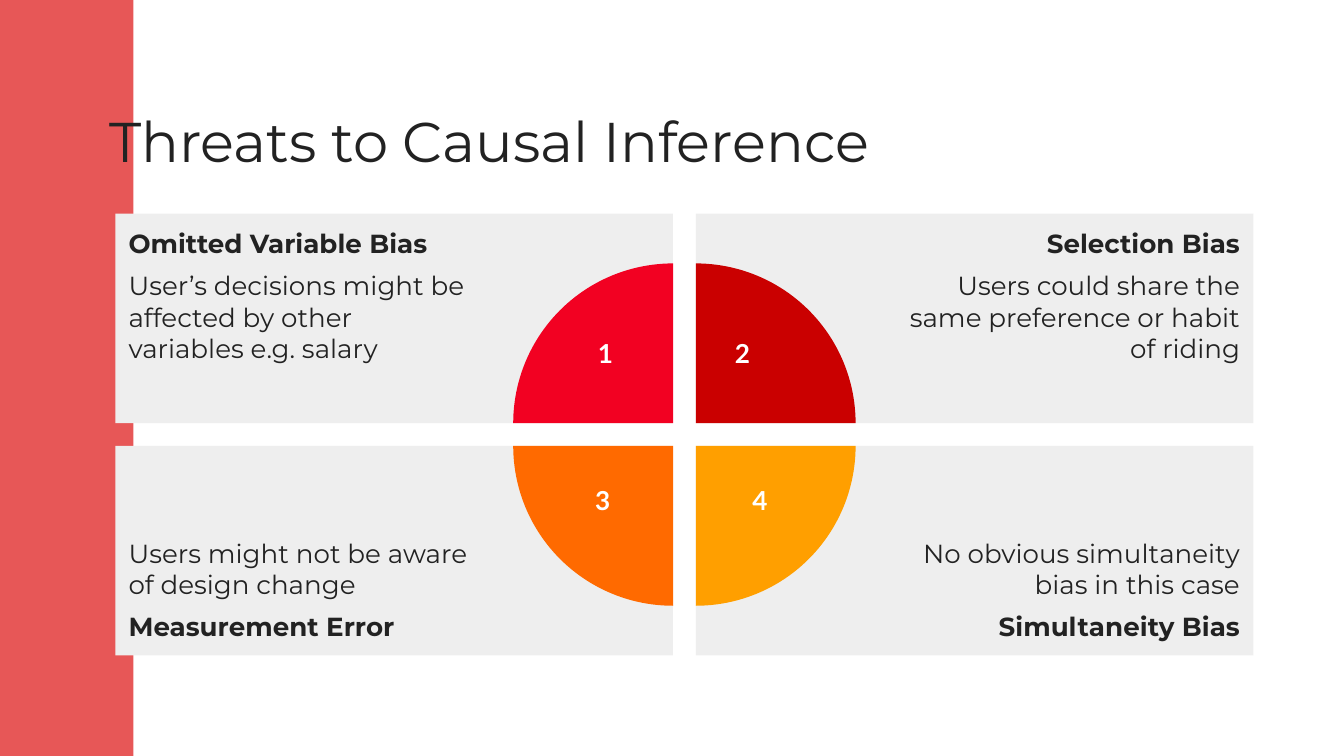
from dataclasses import dataclass

from pptx import Presentation
from pptx.dml.color import RGBColor
from pptx.enum.shapes import MSO_SHAPE
from pptx.enum.text import MSO_ANCHOR, MSO_AUTO_SIZE, PP_ALIGN
from pptx.util import Cm, Pt


@dataclass(frozen=True)
class Theme:
    accent: str = "E75757"
    paper: str = "FFFFFF"
    panel: str = "EEEEEE"
    ink: str = "222222"
    font: str = "Montserrat"
    number_font: str = "Lato"
    title_size: int = 30
    text_size: int = 14


@dataclass(frozen=True)
class Threat:
    """One quadrant; number_x and number_y are the centre of its number in cm."""
    number: str
    heading: str
    body: str
    column: int
    row: int
    rotation: int
    color: str
    number_x: float
    number_y: float


THEME = Theme()
THREATS = (
    Threat("1", "Omitted Variable Bias",
           "User’s decisions might be affected by other variables e.g. salary",
           0, 0, 0, "F20122", 11.43, 6.81),
    Threat("2", "Selection Bias",
           "Users could share the same preference or habit of riding",
           1, 0, 90, "CA0000", 14.02, 6.82),
    Threat("3", "Measurement Error",
           "Users might not be aware of design change",
           0, 1, 270, "FF6A00", 11.38, 9.59),
    Threat("4", "Simultaneity Bias",
           "No obvious simultaneity bias in this case",
           1, 1, 180, "FF9F00", 14.35, 9.6),
)

# Grid lengths in cm
GRID_LEFT, GRID_TOP = 2.18, 4.04
PANEL_WIDTH, PANEL_HEIGHT = 10.54, 3.96
GAP = 0.43
RADIUS = 3.02
INSET, WIDE_INSET = 0.25, 3.81
NUMBER_WIDTH, NUMBER_HEIGHT = 0.76, 1.13


def write(paragraph, text: str, *, size: int = THEME.text_size,
          font: str = THEME.font, color: str = THEME.ink, bold: bool = False,
          align: PP_ALIGN = PP_ALIGN.LEFT, spacing: int = 0) -> None:
    """Put formatted text into a paragraph."""
    paragraph.alignment = align
    paragraph.space_before = paragraph.space_after = Pt(spacing)
    run = paragraph.add_run()
    run.text = text
    run.font.name = font
    run.font.size = Pt(size)
    run.font.bold = bold
    run.font.color.rgb = RGBColor.from_string(color)


def set_insets(frame, left: float, top: float, right: float, bottom: float) -> None:
    frame.margin_left, frame.margin_top = Cm(left), Cm(top)
    frame.margin_right, frame.margin_bottom = Cm(right), Cm(bottom)


def add_filled(slide, kind: MSO_SHAPE, left: float, top: float,
               width: float, height: float, color: str):
    """Add a flat shape without outline or shadow."""
    shape = slide.shapes.add_shape(kind, Cm(left), Cm(top), Cm(width), Cm(height))
    shape.shadow.inherit = False
    shape.fill.solid()
    shape.fill.fore_color.rgb = RGBColor.from_string(color)
    shape.line.fill.background()
    return shape


def add_title(slide, text: str) -> None:
    title = slide.shapes.title
    title.left, title.top = Cm(2.06), Cm(1.22)
    title.width, title.height = Cm(17.88), Cm(2.06)
    frame = title.text_frame
    frame.auto_size = MSO_AUTO_SIZE.NONE
    frame.vertical_anchor = MSO_ANCHOR.BOTTOM
    set_insets(frame, 0, 0, 0, 0)
    write(frame.paragraphs[0], text, size=THEME.title_size)


def add_panel(slide, threat: Threat) -> None:
    """Grey panel whose heading sits on the outer edge of the grid."""
    panel = add_filled(slide, MSO_SHAPE.RECTANGLE,
                       GRID_LEFT + threat.column * (PANEL_WIDTH + GAP),
                       GRID_TOP + threat.row * (PANEL_HEIGHT + GAP),
                       PANEL_WIDTH, PANEL_HEIGHT, THEME.panel)
    frame = panel.text_frame
    frame.word_wrap = True
    frame.vertical_anchor = MSO_ANCHOR.BOTTOM if threat.row else MSO_ANCHOR.TOP
    if threat.column:
        set_insets(frame, WIDE_INSET, INSET, INSET, INSET)
    else:
        set_insets(frame, INSET, INSET, WIDE_INSET, INSET)
    align = PP_ALIGN.RIGHT if threat.column else PP_ALIGN.LEFT
    lines = [(threat.heading, True), (threat.body, False)]
    if threat.row:
        lines.reverse()
    (first, first_bold), (second, second_bold) = lines
    write(frame.paragraphs[0], first, bold=first_bold, align=align)
    write(frame.add_paragraph(), second, bold=second_bold, align=align, spacing=6)


def add_quarter(slide, threat: Threat) -> None:
    """Quarter circle centred on the inner corner of its panel."""
    center_x = GRID_LEFT + PANEL_WIDTH + threat.column * GAP
    center_y = GRID_TOP + PANEL_HEIGHT + threat.row * GAP
    quarter = add_filled(slide, MSO_SHAPE.PIE, center_x - RADIUS, center_y - RADIUS,
                         2 * RADIUS, 2 * RADIUS, threat.color)
    # Angles of 180 and 270 degrees, in units of 0.6 to the degree
    quarter.adjustments[0] = 180 * 0.6
    quarter.adjustments[1] = 270 * 0.6
    quarter.rotation = threat.rotation


def add_number(slide, threat: Threat) -> None:
    box = slide.shapes.add_textbox(Cm(threat.number_x - NUMBER_WIDTH / 2),
                                   Cm(threat.number_y - NUMBER_HEIGHT / 2),
                                   Cm(NUMBER_WIDTH), Cm(NUMBER_HEIGHT))
    box.text_frame.word_wrap = True
    write(box.text_frame.paragraphs[0], threat.number, font=THEME.number_font,
          color=THEME.paper, bold=True, align=PP_ALIGN.CENTER)


def main() -> None:
    presentation = Presentation()
    presentation.slide_width, presentation.slide_height = Cm(25.4), Cm(14.29)
    slide = presentation.slides.add_slide(presentation.slide_layouts[5])

    # Coloured background with a white page behind the title
    slide.background.fill.solid()
    slide.background.fill.fore_color.rgb = RGBColor.from_string(THEME.accent)
    page = add_filled(slide, MSO_SHAPE.RECTANGLE, 2.52, 0, 22.88, 14.29, THEME.paper)
    slide.shapes.title.element.addprevious(page.element)
    add_title(slide, "Threats to Causal Inference")

    # Panels at the back, then the circle, then its numbers
    for draw in (add_panel, add_quarter, add_number):
        for threat in THREATS:
            draw(slide, threat)

    presentation.save("out.pptx")


if __name__ == "__main__":
    main()
